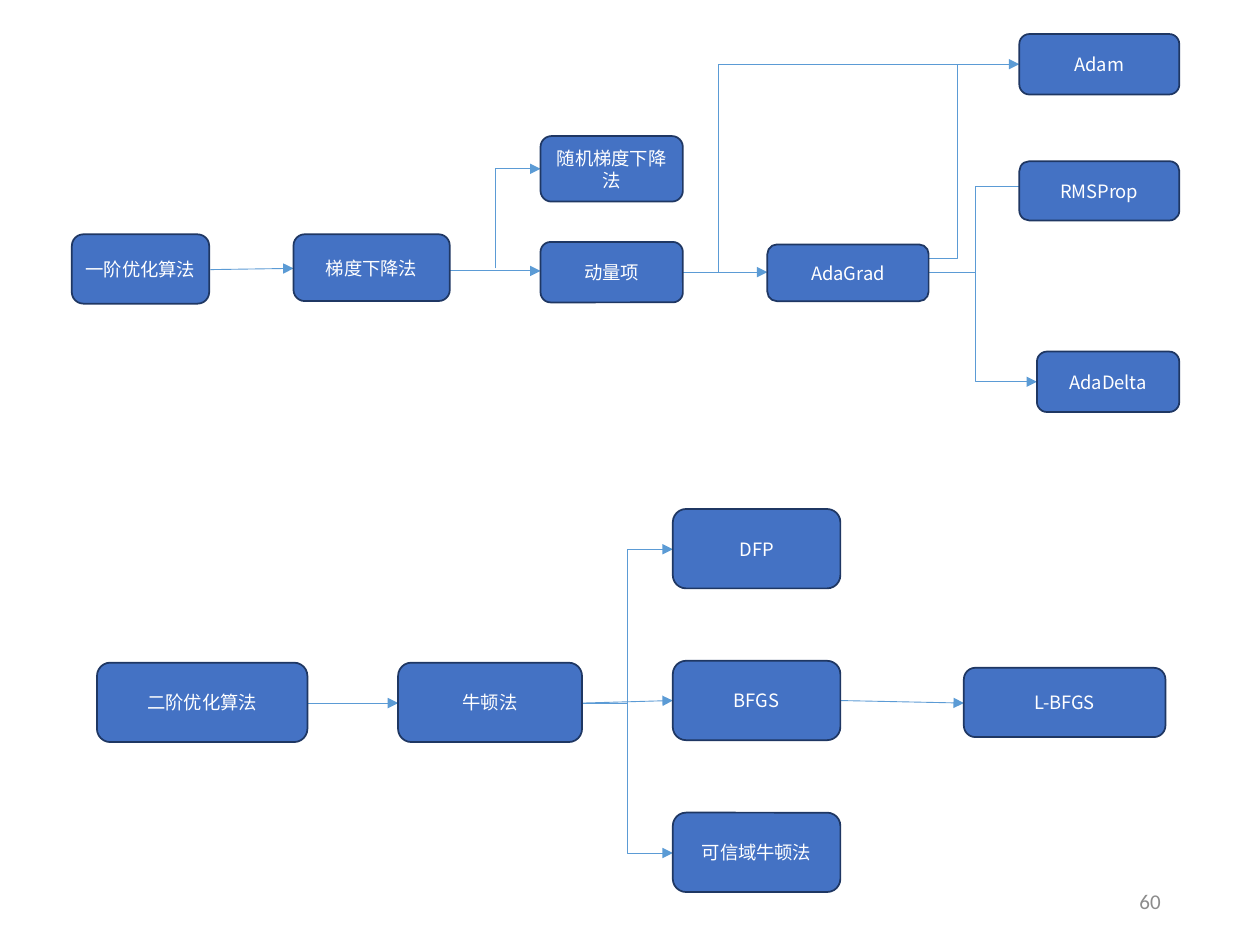
import pptx
import pptx.dml.color
import pptx.enum.shapes
import pptx.enum.text
import pptx.oxml.ns
import pptx.util
from lxml import etree
from pptx.util import Inches

COLORS = {
    "box": "4472C4",
    "border": "1F3763",
    "arrow": "5B9BD5",
    "box_text": "FFFFFF",
    "page_number": "8C8C8C",
}
BOX_FONT = "Noto Sans CJK SC"

FIRST_ORDER_BOXES = [
    ("一阶优化算法", 0.57, 1.86, 1.09, 0.55),
    ("梯度下降法", 2.33, 1.86, 1.24, 0.53),
    ("随机梯度下降法", 4.29, 1.08, 1.13, 0.52),
    ("动量项", 4.29, 1.92, 1.13, 0.48),
    ("AdaGrad", 6.09, 1.94, 1.28, 0.45),
    ("RMSProp", 8.09, 1.28, 1.27, 0.47),
    ("AdaDelta", 8.23, 2.79, 1.13, 0.48),
    ("Adam", 8.09, 0.27, 1.27, 0.48),
]
SECOND_ORDER_BOXES = [
    ("二阶优化算法", 0.77, 5.26, 1.67, 0.63),
    ("牛顿法", 3.16, 5.26, 1.46, 0.63),
    ("L-BFGS", 7.65, 5.3, 1.6, 0.55),
]
QUASI_NEWTON = ["DFP", "BFGS", "可信域牛顿法"]
QUASI_NEWTON_TOP, QUASI_NEWTON_STEP = 4.04, 1.205

STRAIGHT_ARROWS = [
    ((1.67, 2.14), (2.33, 2.13)),
    ((3.57, 2.15), (4.29, 2.15)),
    ((5.41, 2.16), (6.09, 2.16)),
    ((2.44, 5.58), (3.16, 5.58)),
    ((4.62, 5.58), (5.34, 5.56)),
    ((6.67, 5.56), (7.65, 5.58)),
]
# start, end, x of the vertical stretch
BENT_ARROWS = [
    ((3.93, 2.13), (4.29, 1.34), 3.93),
    ((5.41, 2.16), (8.09, 0.51), 5.7),
    ((7.37, 2.16), (8.3, 1.48), 7.74),
    ((7.37, 2.16), (8.23, 3.03), 7.74),
    ((4.62, 5.58), (5.34, 4.36), 4.98),
    ((4.62, 5.58), (5.34, 6.77), 4.98),
]
ADAGRAD_BRANCH = ((7.37, 2.05), (7.6, 0.51), 7.6)


def rgb(name):
    return pptx.dml.color.RGBColor.from_string(COLORS[name])


def sub(parent, tag, **attributes):
    return etree.SubElement(parent, pptx.oxml.ns.qn(tag), attributes)


def write(frame, text, font_name, size, color, align):
    frame.word_wrap = True
    frame.vertical_anchor = pptx.enum.text.MSO_ANCHOR.MIDDLE
    paragraph = frame.paragraphs[0]
    paragraph.text = text
    paragraph.alignment = align
    font = paragraph.font
    font.name = font_name
    font.size = pptx.util.Pt(size)
    font.color.rgb = rgb(color)
    defaults = paragraph._p.pPr.find(pptx.oxml.ns.qn("a:defRPr"))
    sub(defaults, "a:ea", typeface=font_name)


def add_box(slide, text, left, top, width, height):
    box = slide.shapes.add_shape(
        pptx.enum.shapes.MSO_SHAPE.FLOWCHART_ALTERNATE_PROCESS,
        Inches(left), Inches(top), Inches(width), Inches(height))
    box.shadow.inherit = False
    box.fill.solid()
    box.fill.fore_color.rgb = rgb("box")
    box.line.color.rgb = rgb("border")
    box.line.width = pptx.util.Pt(1)
    frame = box.text_frame
    frame.margin_left = frame.margin_right = Inches(0.07)
    frame.margin_top = frame.margin_bottom = Inches(0.04)
    write(frame, text, BOX_FONT, 10.5, "box_text",
          pptx.enum.text.PP_ALIGN.CENTER)


def add_link(slide, start, end, bend_x=None, arrow=True):
    """Straight link, or one that runs vertically at bend_x."""
    kinds = pptx.enum.shapes.MSO_CONNECTOR
    kind = kinds.STRAIGHT if bend_x is None else kinds.ELBOW
    link = slide.shapes.add_connector(
        kind, *[Inches(value) for value in start + end])
    link.line.color.rgb = rgb("arrow")
    link.line.width = pptx.util.Pt(0.5)
    properties = link._element.spPr
    if bend_x is not None:
        share = (bend_x - start[0]) / (end[0] - start[0])
        geometry = properties.find(pptx.oxml.ns.qn("a:prstGeom"))
        adjustments = geometry.find(pptx.oxml.ns.qn("a:avLst"))
        if adjustments is None:
            adjustments = sub(geometry, "a:avLst")
        sub(adjustments, "a:gd", name="adj1", fmla=f"val {round(share * 100000)}")
    if arrow:
        sub(link.line._get_or_add_ln(), "a:tailEnd", type="triangle")
    sub(properties, "a:effectLst")


def add_page_number(slide, number):
    box = slide.shapes.add_textbox(
        Inches(7.06), Inches(6.95), Inches(2.25), Inches(0.4))
    write(box.text_frame, number, "Calibri", 12, "page_number",
          pptx.enum.text.PP_ALIGN.RIGHT)


def main():
    presentation = pptx.Presentation()
    presentation.slide_width = Inches(10)
    presentation.slide_height = Inches(7.5)
    slide = presentation.slides.add_slide(presentation.slide_layouts[6])
    for link in STRAIGHT_ARROWS + BENT_ARROWS:
        add_link(slide, *link)
    add_link(slide, *ADAGRAD_BRANCH, arrow=False)
    for box in FIRST_ORDER_BOXES + SECOND_ORDER_BOXES:
        add_box(slide, *box)
    for row, method in enumerate(QUASI_NEWTON):
        top = QUASI_NEWTON_TOP + row * QUASI_NEWTON_STEP
        add_box(slide, method, 5.34, top, 1.33, 0.63)
    add_page_number(slide, "60")
    presentation.save("out.pptx")


if __name__ == "__main__":
    main()
